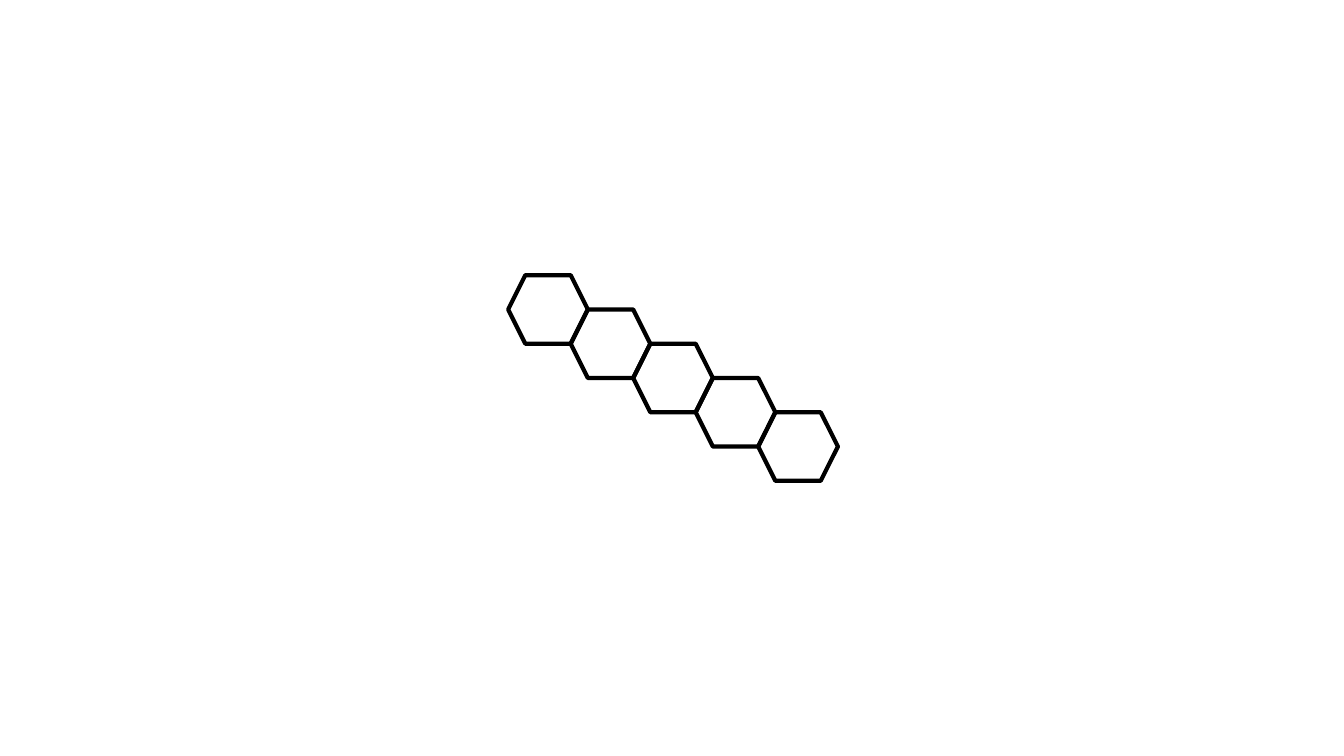
from pptx import Presentation
from pptx.dml.color import RGBColor
from pptx.enum import shapes
from pptx.util import Inches, Pt

# Content: a chain of five fused rings, numbered from the upper left,
# listed from back to front
RING_ORDER = [2, 3, 4, 1, 0]
FIRST_LEFT, FIRST_TOP = 5.04, 2.73
STEP_X, STEP_Y = 0.62, 0.34
RING_WIDTH, RING_HEIGHT = 0.79, 0.68
BOND_COLOUR, BOND_WIDTH = "000000", 3


def colour(value):
    return RGBColor.from_string(value)


def add_ring(molecule, index):
    ring = molecule.shapes.add_shape(
        shapes.MSO_SHAPE.HEXAGON,
        Inches(FIRST_LEFT + index * STEP_X),
        Inches(FIRST_TOP + index * STEP_Y),
        Inches(RING_WIDTH),
        Inches(RING_HEIGHT),
    )
    ring.shadow.inherit = False
    ring.fill.background()
    ring.line.color.rgb = colour(BOND_COLOUR)
    ring.line.width = Pt(BOND_WIDTH)


def main():
    # Page
    deck = Presentation()
    deck.slide_width, deck.slide_height = Inches(13.33), Inches(7.5)
    page = deck.slides.add_slide(deck.slide_layouts[6])
    page.background.fill.solid()
    page.background.fill.fore_color.rgb = colour("FFFFFF")

    # Fused rings, kept together as one group
    molecule = page.shapes.add_group_shape()
    for index in RING_ORDER:
        add_ring(molecule, index)

    deck.save("out.pptx")


if __name__ == "__main__":
    main()
